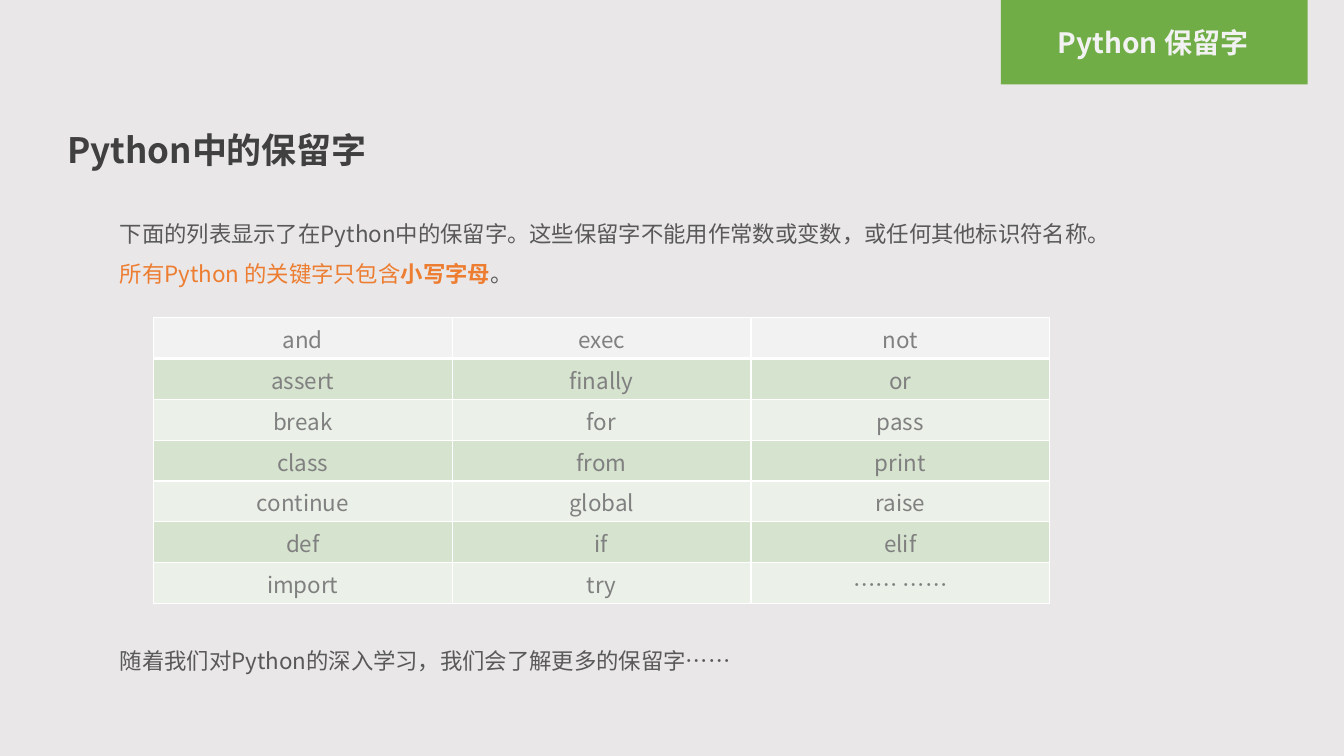
from lxml import etree
from pptx import Presentation
from pptx.dml.color import RGBColor
from pptx.enum.shapes import MSO_SHAPE
from pptx.enum.text import MSO_ANCHOR, PP_ALIGN
from pptx.oxml.ns import qn
from pptx.util import Pt

FONT = "Noto Sans CJK SC"
BACKGROUND, GREEN, WHITE, PALE = "E9E7E7", "70AD47", "FFFFFF", "F2F2F2"
DARK, BODY, GREY, ORANGE = "404040", "595959", "808080", "ED7D31"
BANDS = ("EBF1E9", "D5E3CF")

# Paragraphs are lists of (wording, colour, bold) runs.
BANNER = [[("Python 保留字", PALE, True)]]
TITLE = [[("Python中的保留字", DARK, True)]]
INTRO = [
    [("下面的列表显示了在Python中的保留字。这些保留字不能用作常数或变数,或任何其他标识符名称。"
      .replace(",", "\uff0c"), BODY, False)],
    [("所有Python 的关键字只包含", ORANGE, False),
     ("小写字母", ORANGE, True),
     ("。", BODY, False)],
]
CLOSING = [[("随着我们对Python的深入学习\uff0c我们会了解更多的保留字……", BODY, False)]]
KEYWORDS = [
    ("and", "exec", "not"),
    ("assert", "finally", "or"),
    ("break", "for", "pass"),
    ("class", "from", "print"),
    ("continue", "global", "raise"),
    ("def", "if", "elif"),
    ("import", "try", "…… ……"),
]
COLUMN_WIDTH, ROW_HEIGHT = 213.4, 29.2


def rgb(colour):
    """Turn a hex string into a colour."""
    return RGBColor.from_string(colour)


def set_font(font, size):
    """Give a paragraph or run font its size and typeface."""
    font.size, font.name = Pt(size), FONT


def add_run(paragraph, wording, colour, bold, size):
    """Add one run, with the typeface set for Chinese too."""
    run = paragraph.add_run()
    run.text = wording
    set_font(run.font, size)
    run.font.bold = bold
    run.font.color.rgb = rgb(colour)
    etree.SubElement(run.font._element, qn("a:ea"), typeface=FONT)


def add_text(box, paragraphs, size, spacing=None, align=None, anchor=MSO_ANCHOR.TOP):
    """Add a wrapping text box; box is left, top, width, height."""
    frame = slide.shapes.add_textbox(*map(Pt, box)).text_frame
    frame.word_wrap = True
    frame.vertical_anchor = anchor
    for index, runs in enumerate(paragraphs):
        paragraph = frame.add_paragraph() if index else frame.paragraphs[0]
        paragraph.line_spacing, paragraph.alignment = spacing, align
        for run in runs:
            add_run(paragraph, *run, size)


def add_borders(cell, widths):
    """Draw white cell borders; widths maps a side letter to points."""
    properties = cell._tc.get_or_add_tcPr()
    for side, width in widths.items():
        line = etree.SubElement(properties, qn(f"a:ln{side}"), w=str(Pt(width)))
        fill = etree.SubElement(line, qn("a:solidFill"))
        etree.SubElement(fill, qn("a:srgbClr"), val=WHITE)


def add_keywords(left, top):
    """Add the banded table of reserved words."""
    row_count, column_count = len(KEYWORDS), len(KEYWORDS[0])
    table = slide.shapes.add_table(
        row_count, column_count, Pt(left), Pt(top),
        Pt(column_count * COLUMN_WIDTH), Pt(row_count * ROW_HEIGHT)).table
    for column in table.columns:
        column.width = Pt(COLUMN_WIDTH)
    for index, words in enumerate(KEYWORDS):
        table.rows[index].height = Pt(ROW_HEIGHT)
        for cell, word in zip(table.rows[index].cells, words):
            paragraph = cell.text_frame.paragraphs[0]
            paragraph.alignment = PP_ALIGN.CENTER
            add_run(paragraph, word, GREY, False, 16)
            add_borders(cell, {"L": 1, "R": 1, "T": 3 if index == 1 else 1,
                               "B": 3 if index == 0 else 1})
            cell.fill.solid()
            cell.fill.fore_color.rgb = rgb(BANDS[index % 2] if index else PALE)


deck = Presentation()
deck.slide_width, deck.slide_height = Pt(960), Pt(540)
slide = deck.slides.add_slide(deck.slide_layouts[6])
slide.background.fill.solid()
slide.background.fill.fore_color.rgb = rgb(BACKGROUND)

banner = slide.shapes.add_shape(MSO_SHAPE.RECTANGLE, Pt(715), Pt(0), Pt(219), Pt(60.3))
banner.shadow.inherit = False
banner.fill.solid()
banner.fill.fore_color.rgb = rgb(GREEN)
banner.line.fill.background()

add_text((715.7, 16.5, 216, 30), BANNER, 20, 0.9, PP_ALIGN.CENTER, MSO_ANCHOR.MIDDLE)
add_text((78.5, 144, 781, 65.5), INTRO, 16, 1.5)
add_text((41, 88.5, 871, 37.5), TITLE, 25)
add_keywords(109.6, 226.8)
add_text((78.5, 458.6, 451, 26.6), CLOSING, 16)
deck.save("out.pptx")
